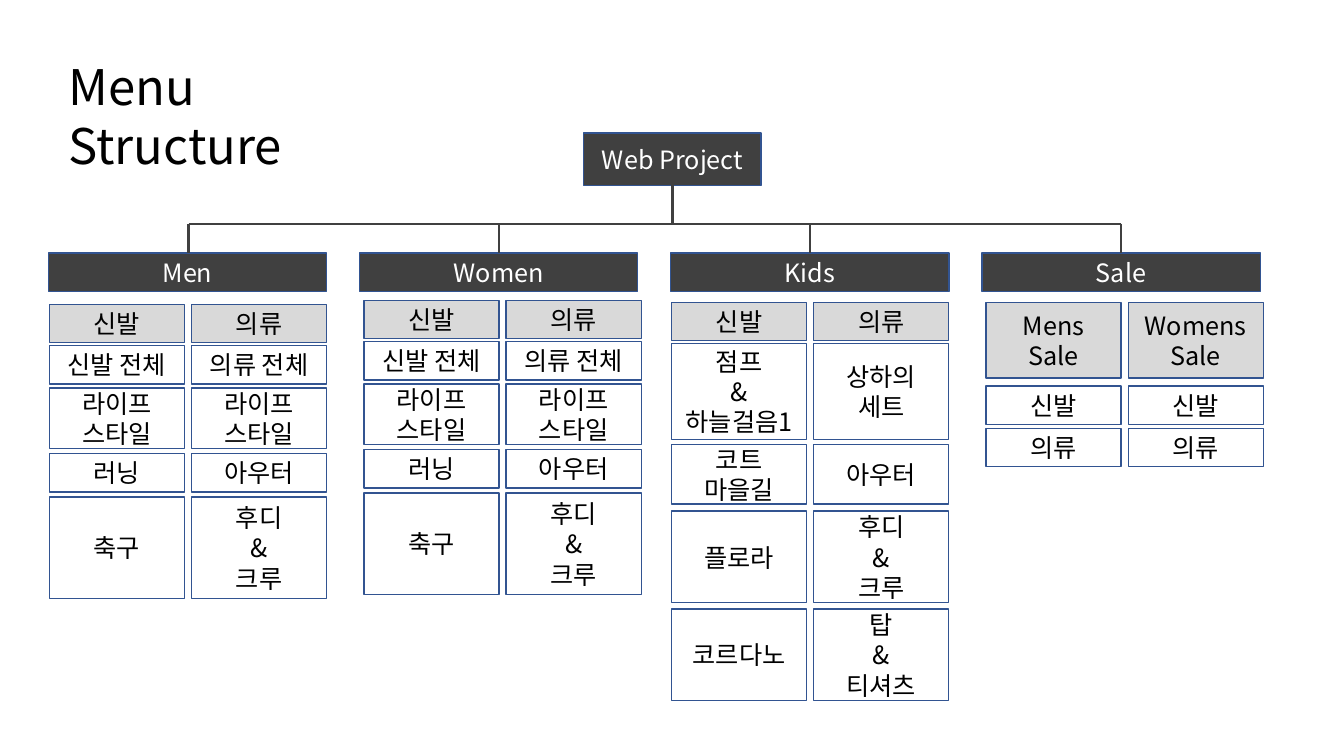
from lxml import etree
from pptx import Presentation
from pptx.enum import shapes, text
from pptx.dml.color import RGBColor
from pptx.oxml import ns
from pptx.util import Inches, Pt

FONT = "Noto Sans CJK KR"
COLORS = {"dark": "404040", "grey": "D9D9D9", "edge": "325491",
          "black": "000000", "white": "FFFFFF"}
CELL_WIDTH, CELL_PITCH = 1.34, 1.41
HEADER_TOP, HEADER_WIDTH, HEADER_HEIGHT = 2.51, 2.76, 0.38
BAR_TOP = 2.22

# Each row: top, height, left label, right label
CLOTHING_ROWS = [
    (3.02, 0.38, "신발", "의류"),
    (3.43, 0.38, "신발 전체", "의류 전체"),
    (3.85, 0.6, "라이프\n스타일", "라이프\n스타일"),
    (4.5, 0.38, "러닝", "아우터"),
    (4.93, 1.01, "축구", "후디\n&\n크루"),
]
KIDS_ROWS = [
    (3, 0.38, "신발", "의류"),
    (3.41, 0.95, "점프\n&\n하늘걸음1", "상하의\n세트"),
    (4.41, 0.59, "코트\n마을길", "아우터"),
    (5.07, 0.91, "플로라", "후디\n&\n크루"),
    (6.04, 0.91, "코르다노", "탑\n&\n티셔츠"),
]
SALE_ROWS = [
    (3, 0.75, "Mens Sale", "Womens Sale"),
    (3.83, 0.38, "신발", "신발"),
    (4.25, 0.38, "의류", "의류"),
]
# Each menu: name, left edge of its cells, vertical shift, rows
MENUS = [
    ("Men", 0.49, 0, CLOTHING_ROWS),
    ("Women", 3.61, -0.04, CLOTHING_ROWS),
    ("Kids", 6.66, 0, KIDS_ROWS),
    ("Sale", 9.78, 0, SALE_ROWS),
]

deck = Presentation()
deck.slide_width, deck.slide_height = Inches(13.33), Inches(7.5)
page = deck.slides.add_slide(deck.slide_layouts[6])


def write(shape, label, size, color, align):
    frame = shape.text_frame
    frame.word_wrap = True
    frame.text = label
    for para in frame.paragraphs:
        para.alignment = align
        for span in para.runs:
            for name, value in {"name": FONT, "size": Pt(size)}.items():
                setattr(span.font, name, value)
            span.font.color.rgb = RGBColor.from_string(COLORS[color])
            east_asian = etree.SubElement(span.font._element, ns.qn("a:ea"))
            east_asian.set("typeface", FONT)


def add_box(left, top, width, height, label, fill=None, color="black"):
    box = page.shapes.add_shape(shapes.MSO_SHAPE.RECTANGLE, Inches(left),
                                Inches(top), Inches(width), Inches(height))
    box.shadow.inherit = False
    if fill:
        box.fill.solid()
        box.fill.fore_color.rgb = RGBColor.from_string(COLORS[fill])
    else:
        box.fill.background()
    box.line.color.rgb = RGBColor.from_string(COLORS["edge"])
    box.line.width = Pt(1)
    box.text_frame.vertical_anchor = text.MSO_ANCHOR.MIDDLE
    write(box, label, 18, color, text.PP_ALIGN.CENTER)


title = page.shapes.add_textbox(Inches(0.58), Inches(0.51), Inches(3.65), Inches(0.69))
write(title, "Menu Structure", 35, "black", text.PP_ALIGN.LEFT)

add_box(5.79, 1.32, 1.76, 0.52, "Web Project", "dark", "white")
for number, (name, cells_left, shift, rows) in enumerate(MENUS):
    add_box(0.48 + 9.26 * number / 3, HEADER_TOP, HEADER_WIDTH, HEADER_HEIGHT,
            name, "dark", "white")
    for row, (top, height, *labels) in enumerate(rows):
        for column, label in enumerate(labels):
            add_box(cells_left + column * CELL_PITCH, top + shift, CELL_WIDTH,
                    height, label, None if row else "grey")

drops = [1.87 + 9.25 * number / 3 for number in range(len(MENUS))]
branches = [(drops[0], BAR_TOP, drops[-1], BAR_TOP), (6.67, 1.84, 6.67, BAR_TOP)]
branches += [(x, BAR_TOP, x, HEADER_TOP) for x in drops]
for ends in branches:
    branch = page.shapes.add_connector(shapes.MSO_CONNECTOR.STRAIGHT,
                                       *[Inches(value) for value in ends])
    branch.line.color.rgb = RGBColor.from_string(COLORS["dark"])
    branch.line.width = Pt(1.5)
    etree.SubElement(branch._element.spPr, ns.qn("a:effectLst"))

deck.save("out.pptx")
